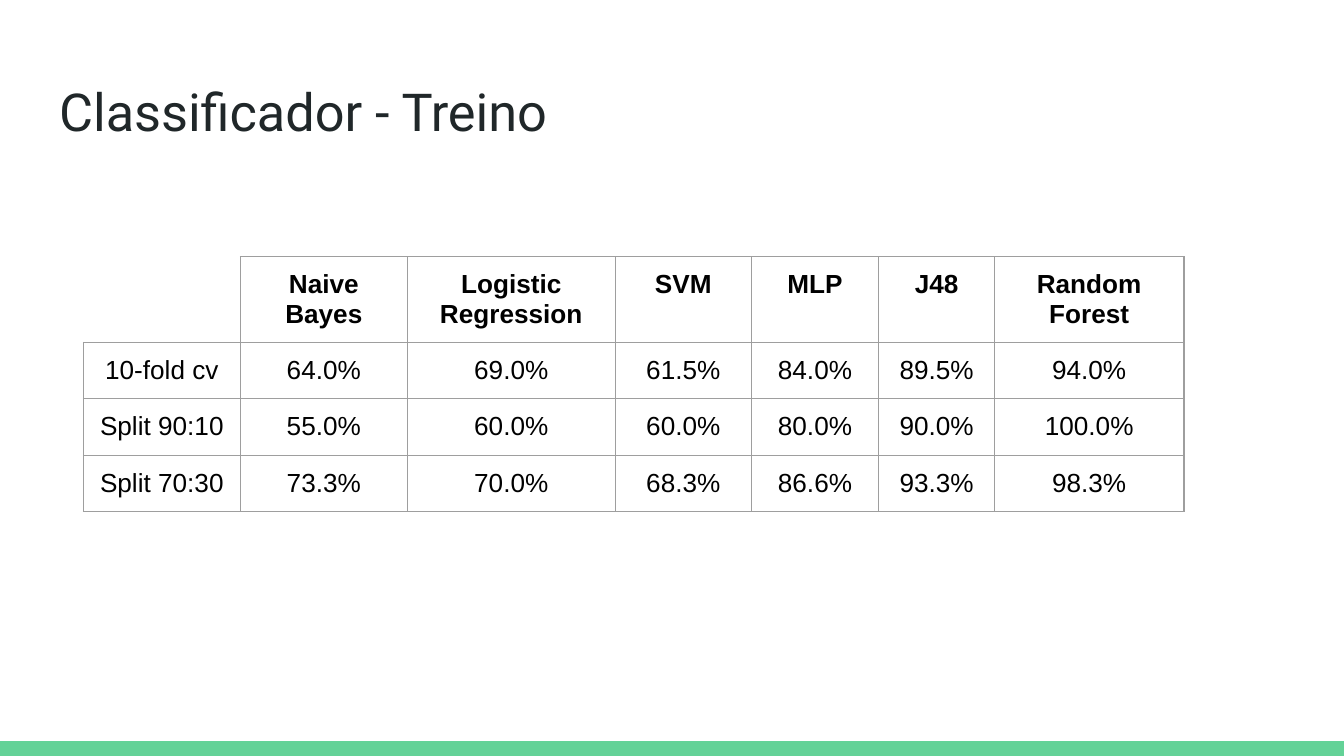
from dataclasses import dataclass

import pptx
import pptx.dml.color
import pptx.enum.shapes
import pptx.enum.text
import pptx.oxml
import pptx.oxml.ns
import pptx.util
from pptx.util import Inches


@dataclass(frozen=True)
class Theme:
    title_color: str = "202729"
    text_color: str = "000000"
    border_color: str = "9E9E9E"
    accent: str = "63D297"
    title_font: str = "Roboto"
    table_font: str = "Arial"
    title_size: float = 28
    table_size: float = 14
    border_width: float = 0.75


THEME = Theme()
SLIDE_WIDTH = Inches(10)
SLIDE_HEIGHT = SLIDE_WIDTH * 9 // 16
MARGINS = {f"margin_{side}": Inches(0.1) for side in ("left", "right", "top", "bottom")}

CLASSIFIERS = ["Naive Bayes", "Logistic Regression", "SVM", "MLP", "J48", "Random Forest"]
RESULTS = {
    "10-fold cv": [64.0, 69.0, 61.5, 84.0, 89.5, 94.0],
    "Split 90:10": [55.0, 60.0, 60.0, 80.0, 90.0, 100.0],
    "Split 70:30": [73.3, 70.0, 68.3, 86.6, 93.3, 98.3],
}
COLUMN_WIDTHS = [1.17, 1.24, 1.55, 1.01, 0.95, 0.86, 1.41]
# The header row grows to fit its two-line labels.
HEADER_HEIGHT, ROW_HEIGHT = 0.3, 0.42


def set_attributes(target, values):
    for name, value in values.items():
        setattr(target, name, value)


def style_font(font, name, size, color, bold=False):
    set_attributes(font, {"name": name, "size": pptx.util.Pt(size), "bold": bold})
    font.color.rgb = pptx.dml.color.RGBColor.from_string(color)


def set_borders(cell, visible_sides):
    """Draw the given sides (of L, R, T, B) and hide the others."""
    properties = cell._tc.get_or_add_tcPr()
    for side in "LRTB":
        if side in visible_sides:
            paint = f'<a:solidFill><a:srgbClr val="{THEME.border_color}"/></a:solidFill>'
        else:
            paint = "<a:noFill/>"
        properties.append(pptx.oxml.parse_xml(
            f'<a:ln{side} {pptx.oxml.ns.nsdecls("a")} '
            f'w="{pptx.util.Pt(THEME.border_width)}">{paint}</a:ln{side}>'))


def place_title(slide, text, left, top, width, height):
    title = slide.shapes.title
    set_attributes(title, {"left": Inches(left), "top": Inches(top),
                           "width": Inches(width), "height": Inches(height)})
    frame = title.text_frame
    frame.text = text
    set_attributes(frame, {**MARGINS, "word_wrap": True,
                           "auto_size": pptx.enum.text.MSO_AUTO_SIZE.NONE,
                           "vertical_anchor": pptx.enum.text.MSO_ANCHOR.TOP})
    heading = frame.paragraphs[0]
    heading.alignment = pptx.enum.text.PP_ALIGN.LEFT
    style_font(heading.runs[0].font, THEME.title_font, THEME.title_size, THEME.title_color)


def place_footer_bar(slide, height):
    """Run a bar along the bottom edge of the slide."""
    bar = slide.shapes.add_shape(pptx.enum.shapes.MSO_SHAPE.RECTANGLE, 0,
                                 SLIDE_HEIGHT - Inches(height), SLIDE_WIDTH, Inches(height))
    bar.shadow.inherit = False
    bar.fill.solid()
    bar.fill.fore_color.rgb = pptx.dml.color.RGBColor.from_string(THEME.accent)
    bar.line.fill.background()


def place_results(slide, left, top):
    rows = [["", *CLASSIFIERS]]
    rows += [[method, *(f"{value:.1f}%" for value in values)]
             for method, values in RESULTS.items()]
    heights = [HEADER_HEIGHT] + [ROW_HEIGHT] * len(RESULTS)
    table = slide.shapes.add_table(
        len(rows), len(COLUMN_WIDTHS), Inches(left), Inches(top),
        Inches(sum(COLUMN_WIDTHS)), Inches(sum(heights))).table
    set_attributes(table, {"first_row": False, "horz_banding": False})
    for column, width in zip(table.columns, COLUMN_WIDTHS):
        column.width = Inches(width)
    for row_index, (labels, height) in enumerate(zip(rows, heights)):
        table.rows[row_index].height = Inches(height)
        for column_index, label in enumerate(labels):
            cell = table.cell(row_index, column_index)
            set_attributes(cell, MARGINS)
            set_borders(cell, "LRTB" if label else "RB")
            cell.fill.background()
            if label:
                cell.text = label
                entry = cell.text_frame.paragraphs[0]
                entry.alignment = pptx.enum.text.PP_ALIGN.CENTER
                style_font(entry.runs[0].font, THEME.table_font, THEME.table_size,
                           THEME.text_color, bold=row_index == 0)


def main():
    presentation = pptx.Presentation()
    set_attributes(presentation, {"slide_width": SLIDE_WIDTH, "slide_height": SLIDE_HEIGHT})
    slide = presentation.slides.add_slide(presentation.slide_layouts.get_by_name("Title Only"))
    place_footer_bar(slide, 0.11)
    place_title(slide, "Classificador - Treino", 0.34, 0.49, 9.32, 0.63)
    place_results(slide, 0.62, 1.91)
    presentation.save("out.pptx")


if __name__ == "__main__":
    main()
